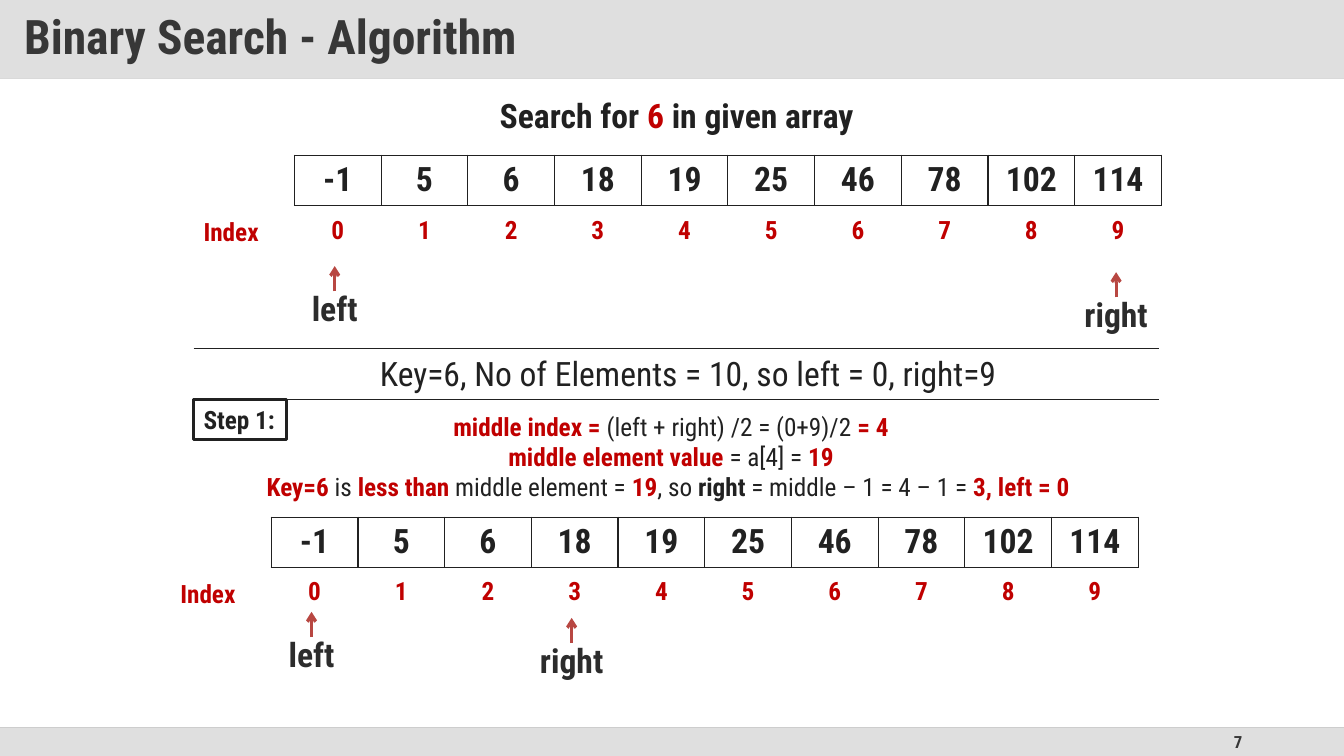
from dataclasses import dataclass
from typing import NamedTuple

from lxml import etree
from pptx import Presentation
from pptx.dml.color import RGBColor
from pptx.enum.shapes import MSO_CONNECTOR, MSO_SHAPE
from pptx.enum.text import MSO_ANCHOR, MSO_AUTO_SIZE, PP_ALIGN
from pptx.oxml.ns import qn
from pptx.shapes.autoshape import Shape
from pptx.shapes.connector import Connector
from pptx.slide import Slide
from pptx.util import Inches, Pt

RECTANGLE = MSO_SHAPE.RECTANGLE
STRAIGHT = MSO_CONNECTOR.STRAIGHT
LEFT, CENTER, RIGHT = PP_ALIGN.LEFT, PP_ALIGN.CENTER, PP_ALIGN.RIGHT
MIDDLE = MSO_ANCHOR.MIDDLE
FIT_SHAPE = MSO_AUTO_SIZE.SHAPE_TO_FIT_TEXT


@dataclass(frozen=True)
class Theme:
    font: str = "Roboto Condensed"
    ink: RGBColor = RGBColor(0x21, 0x21, 0x21)
    heading: RGBColor = RGBColor(0x37, 0x37, 0x37)
    pointer: RGBColor = RGBColor(0x2C, 0x2C, 0x2C)
    red: RGBColor = RGBColor(0xC0, 0x00, 0x00)
    arrow: RGBColor = RGBColor(0xB8, 0x47, 0x42)
    band: RGBColor = RGBColor(0xDF, 0xDF, 0xDF)
    title_rule: RGBColor = RGBColor(0xD9, 0xD9, 0xD9)
    footer_rule: RGBColor = RGBColor(0xCD, 0xCD, 0xCD)
    title_size: int = 34
    large: int = 24
    body: int = 18
    small: int = 12


THEME = Theme()


class Span(NamedTuple):
    text: str
    color: RGBColor = THEME.ink
    bold: bool = True


class Box(NamedTuple):
    left: float
    top: float
    width: float
    height: float


class Pointer(NamedTuple):
    label: str
    center: float
    tip: float
    width: float


class ArrayView(NamedTuple):
    left: float
    top: float
    pointers: list[Pointer]


SLIDE_WIDTH, SLIDE_HEIGHT = 13.33, 7.5
TITLE_HEIGHT, FOOTER_TOP = 0.78, 7.22
CONTENT_LEFT, CONTENT_RIGHT = 1.92, 11.5
KEY_TOP, STEP_TOP = 3.46, 3.96
CELL_WIDTH = 0.86
VALUES = [-1, 5, 6, 18, 19, 25, 46, 78, 102, 114]
ARRAYS = [
    ArrayView(2.92, 1.54, [Pointer("left", 3.32, 2.64, 0.68),
                           Pointer("right", 11.07, 2.7, 0.86)]),
    ArrayView(2.69, 5.13, [Pointer("left", 3.09, 6.07, 0.68),
                           Pointer("right", 5.67, 6.13, 0.86)]),
]


def red(text: str) -> Span:
    return Span(text, THEME.red)


def plain(text: str) -> Span:
    return Span(text, bold=False)


STEP_LINES = [
    [red("middle index ="), plain(" (left + right) /2 = (0+9)/2 "), red("= 4")],
    [red("middle element value "), plain("= a[4] = "), red("19")],
    [red("Key=6"), plain(" is "), red("less than "), plain("middle element = "),
     red("19"), plain(", so "), Span("right"), plain(" = middle – 1 = 4 – 1 = "),
     red("3, left = 0 ")],
]


def write(frame, lines: list[list[Span]], size: int, align=LEFT) -> None:
    for number, spans in enumerate(lines):
        paragraph = frame.add_paragraph() if number else frame.paragraphs[0]
        paragraph.alignment = align
        for span in spans:
            run = paragraph.add_run()
            run.text = span.text
            run.font.name = THEME.font
            run.font.size = Pt(size)
            run.font.bold = span.bold
            run.font.color.rgb = span.color


def add_text(slide: Slide, box: Box, lines: list[list[Span]], size: int,
             align=LEFT, wrap: bool = False) -> Shape:
    text = slide.shapes.add_textbox(*map(Inches, box))
    text.text_frame.word_wrap = wrap
    text.text_frame.auto_size = FIT_SHAPE
    write(text.text_frame, lines, size, align)
    return text


def add_rectangle(slide: Slide, box: Box) -> Shape:
    rectangle = slide.shapes.add_shape(RECTANGLE, *map(Inches, box))
    rectangle.shadow.inherit = False
    rectangle.fill.background()
    rectangle.line.fill.background()
    return rectangle


def add_band(slide: Slide, top: float, height: float) -> Shape:
    band = add_rectangle(slide, Box(0, top, SLIDE_WIDTH, height))
    band.fill.solid()
    band.fill.fore_color.rgb = THEME.band
    return band


def add_line(slide: Slide, start: tuple[float, float], end: tuple[float, float],
             color: RGBColor, width: float) -> Connector:
    line = slide.shapes.add_connector(STRAIGHT, *map(Inches, (*start, *end)))
    line.line.color.rgb = color
    line.line.width = Pt(width)
    etree.SubElement(line._element.spPr, qn("a:effectLst"))
    return line


def add_row(slide: Slide, box: Box, texts: list[str], color: RGBColor,
            size: int, bordered: bool) -> None:
    table = slide.shapes.add_table(1, len(texts), *map(Inches, box)).table
    table.first_row = table.horz_banding = False
    for column, text in enumerate(texts):
        table.columns[column].width = Inches(CELL_WIDTH)
        cell = table.cell(0, column)
        write(cell.text_frame, [[Span(text, color)]], size, CENTER)
        properties = cell._tc.get_or_add_tcPr()
        for side in ("lnL", "lnR", "lnT", "lnB"):
            border = etree.SubElement(properties, qn(f"a:{side}"), w=str(Pt(1)))
            if bordered:
                fill = etree.SubElement(border, qn("a:solidFill"))
                etree.SubElement(fill, qn("a:srgbClr"), val=str(THEME.ink))
            else:
                etree.SubElement(border, qn("a:noFill"))
        cell.fill.background()


def add_pointer(slide: Slide, pointer: Pointer) -> None:
    box = Box(pointer.center - pointer.width / 2, pointer.tip + 0.17, pointer.width, 0.5)
    add_text(slide, box, [[Span(pointer.label, THEME.pointer)]], THEME.large, CENTER)
    arrow = add_line(slide, (pointer.center, pointer.tip + 0.25),
                     (pointer.center, pointer.tip), THEME.arrow, 2.25)
    etree.SubElement(arrow.line._get_or_add_ln(), qn("a:tailEnd"), type="arrow")


def add_array(slide: Slide, array: ArrayView) -> None:
    width = CELL_WIDTH * len(VALUES)
    add_row(slide, Box(array.left, array.top, width, 0.5),
            [str(value) for value in VALUES], THEME.ink, THEME.large, True)
    add_row(slide, Box(array.left, array.top + 0.55, width, 0.41),
            [str(index) for index in range(len(VALUES))], THEME.red, THEME.body, False)
    add_text(slide, Box(array.left - 1, array.top + 0.56, 0.78, 0.4),
             [[red("Index")]], THEME.body)
    for pointer in array.pointers:
        add_pointer(slide, pointer)


def main() -> None:
    deck = Presentation()
    deck.slide_width, deck.slide_height = Inches(SLIDE_WIDTH), Inches(SLIDE_HEIGHT)
    slide = deck.slides.add_slide(deck.slide_layouts[6])

    # Title and footer bands
    add_band(slide, FOOTER_TOP, SLIDE_HEIGHT - FOOTER_TOP)
    page_number = add_text(slide, Box(9.42, FOOTER_TOP, 3, 0.28),
                           [[Span("7", THEME.heading)]], THEME.small, RIGHT, True)
    page_number.text_frame.vertical_anchor = MIDDLE
    title = add_band(slide, 0, TITLE_HEIGHT).text_frame
    title.vertical_anchor = MIDDLE
    title.margin_left = title.margin_right = Inches(0.24)
    title.margin_top = title.margin_bottom = Inches(0.12)
    write(title, [[Span("Binary Search - Algorithm", THEME.heading)]], THEME.title_size)
    title.paragraphs[0].line_spacing = 0.9
    for y, color in ((TITLE_HEIGHT, THEME.title_rule), (FOOTER_TOP, THEME.footer_rule)):
        add_line(slide, (0, y), (SLIDE_WIDTH, y), color, 1)

    # Task and key values
    add_text(slide, Box(CONTENT_LEFT, 0.89, CONTENT_RIGHT - CONTENT_LEFT, 0.5),
             [[Span("Search for "), red("6 "), Span("in given array")]],
             THEME.large, CENTER, True)
    for y in (KEY_TOP, STEP_TOP):
        add_line(slide, (CONTENT_LEFT, y), (CONTENT_RIGHT, y), THEME.ink, 0.5)
    add_text(slide, Box(3.67, 3.45, 6.56, 0.5),
             [[plain("Key=6, No of Elements = 10, so left = 0, right=9")]], THEME.large)

    # First step
    add_text(slide, Box(2.46, 4.03, 8.39, 1.01), STEP_LINES, THEME.body, CENTER)
    step = add_rectangle(slide, Box(CONTENT_LEFT, STEP_TOP, 0.92, 0.4))
    step.line.color.rgb = THEME.ink
    step.line.width = Pt(2.25)
    step.text_frame.word_wrap = False
    write(step.text_frame, [[Span("Step 1:")]], THEME.body)

    # Array before and after the step
    for array in ARRAYS:
        add_array(slide, array)

    deck.save("out.pptx")


if __name__ == "__main__":
    main()
